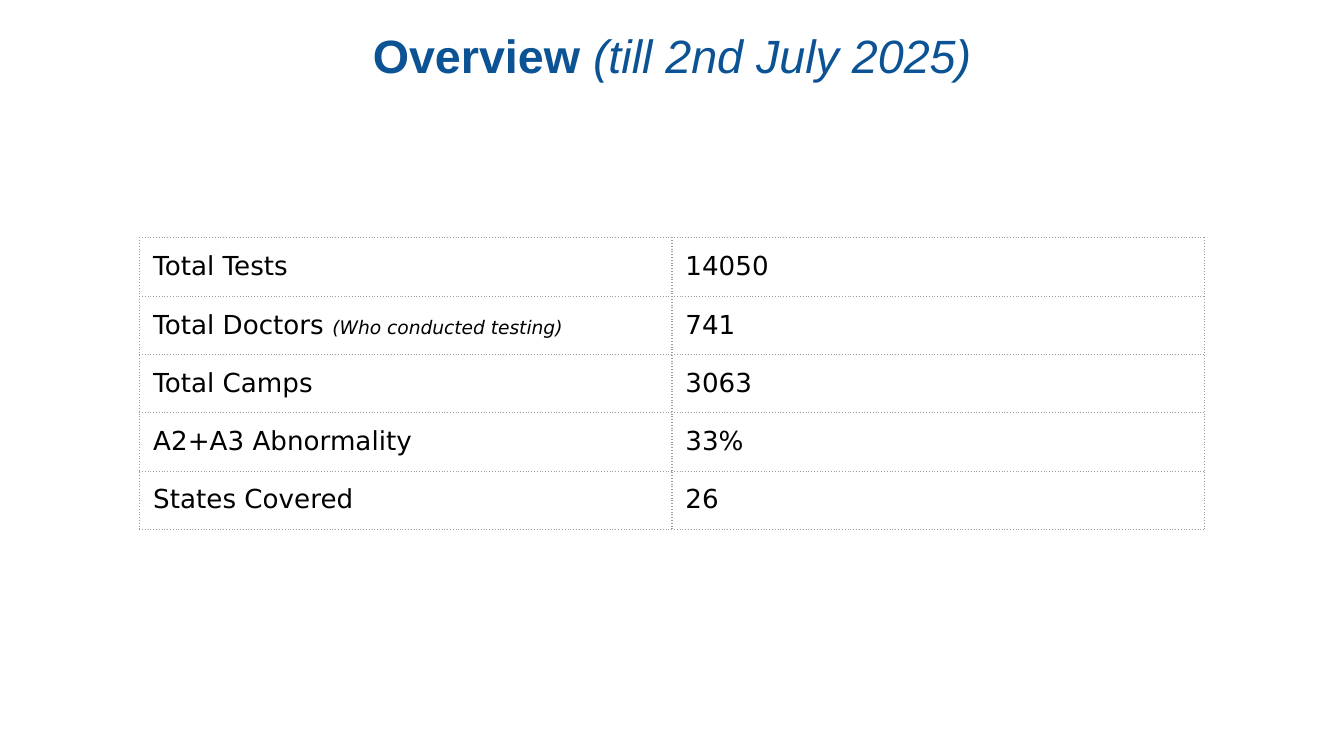
from dataclasses import dataclass

import pptx
import pptx.dml.color
import pptx.enum.text
import pptx.oxml
import pptx.oxml.ns
import pptx.util
from pptx.util import Inches

BLUE = pptx.dml.color.RGBColor(0x0B, 0x53, 0x94)
BLACK = pptx.dml.color.RGBColor(0x00, 0x00, 0x00)
BORDER_GREY = pptx.dml.color.RGBColor(0x9E, 0x9E, 0x9E)

MARGIN = Inches(0.1)
COLUMN_WIDTH = Inches(3.96)
ROW_HEIGHT = Inches(0.43)


@dataclass
class TextRun:
    text: str
    size: float
    font: str
    color: pptx.dml.color.RGBColor
    bold: bool = False
    italic: bool = False


@dataclass
class Metric:
    label: str
    value: str
    note: str = ""


METRICS = [
    Metric("Total Tests", "14050"),
    Metric("Total Doctors ", "741", "(Who conducted testing)"),
    Metric("Total Camps", "3063"),
    Metric("A2+A3 Abnormality", "33%"),
    Metric("States Covered", "26"),
]


def add_runs(paragraph, text_runs: list[TextRun]) -> None:
    for text_run in text_runs:
        run = paragraph.add_run()
        run.text = text_run.text
        font_format = {
            "size": pptx.util.Pt(text_run.size),
            "name": text_run.font,
            "bold": text_run.bold,
            "italic": text_run.italic,
        }
        for name, value in font_format.items():
            setattr(run.font, name, value)
        run.font.color.rgb = text_run.color


def add_title(slide) -> None:
    title = slide.shapes.title
    placement = {
        "left": Inches(1.13),
        "top": Inches(0.1),
        "width": Inches(7.74),
        "height": Inches(0.62),
    }
    for name, value in placement.items():
        setattr(title, name, value)
    frame_format = {
        "margin_left": MARGIN,
        "margin_right": MARGIN,
        "margin_top": MARGIN,
        "margin_bottom": MARGIN,
        "word_wrap": True,
        "auto_size": pptx.enum.text.MSO_AUTO_SIZE.SHAPE_TO_FIT_TEXT,
        "vertical_anchor": pptx.enum.text.MSO_ANCHOR.TOP,
    }
    for name, value in frame_format.items():
        setattr(title.text_frame, name, value)
    paragraph = title.text_frame.paragraphs[0]
    paragraph.alignment = pptx.enum.text.PP_ALIGN.CENTER
    add_runs(paragraph, [
        TextRun("Overview ", 25, "Arial", BLUE, bold=True),
        TextRun("(till 2nd July 2025)", 25, "Arial", BLUE, italic=True),
    ])


def add_dotted_borders(cell) -> None:
    properties = cell._tc.get_or_add_tcPr()
    for side in ("lnL", "lnR", "lnT", "lnB"):
        properties.append(pptx.oxml.parse_xml(
            f'<a:{side} {pptx.oxml.ns.nsdecls("a")} w="{pptx.util.Pt(0.75)}">'
            f'<a:solidFill><a:srgbClr val="{BORDER_GREY}"/></a:solidFill>'
            f'<a:prstDash val="dot"/></a:{side}>'
        ))


def fill_cell(cell, text_runs: list[TextRun]) -> None:
    for side in ("left", "right", "top", "bottom"):
        setattr(cell, f"margin_{side}", MARGIN)
    add_dotted_borders(cell)
    cell.fill.background()
    add_runs(cell.text_frame.paragraphs[0], text_runs)


def add_metrics_table(slide, metrics: list[Metric]) -> None:
    table = slide.shapes.add_table(
        len(metrics), 2, Inches(1.04), Inches(1.77),
        2 * COLUMN_WIDTH, len(metrics) * ROW_HEIGHT,
    ).table
    table.first_row = False
    table.horz_banding = False
    for row, metric in enumerate(metrics):
        label_runs = [TextRun(metric.label, 14, "DejaVu Sans", BLACK)]
        if metric.note:
            label_runs.append(TextRun(metric.note, 10, "DejaVu Sans", BLACK, italic=True))
        fill_cell(table.cell(row, 0), label_runs)
        fill_cell(table.cell(row, 1), [TextRun(metric.value, 14, "DejaVu Sans", BLACK)])


def main() -> None:
    presentation = pptx.Presentation()
    presentation.slide_width = Inches(10)
    # Widescreen, 16:9
    presentation.slide_height = presentation.slide_width * 9 // 16
    title_only_layout = presentation.slide_layouts[5]
    slide = presentation.slides.add_slide(title_only_layout)
    add_title(slide)
    add_metrics_table(slide, METRICS)
    presentation.save("out.pptx")


if __name__ == "__main__":
    main()
